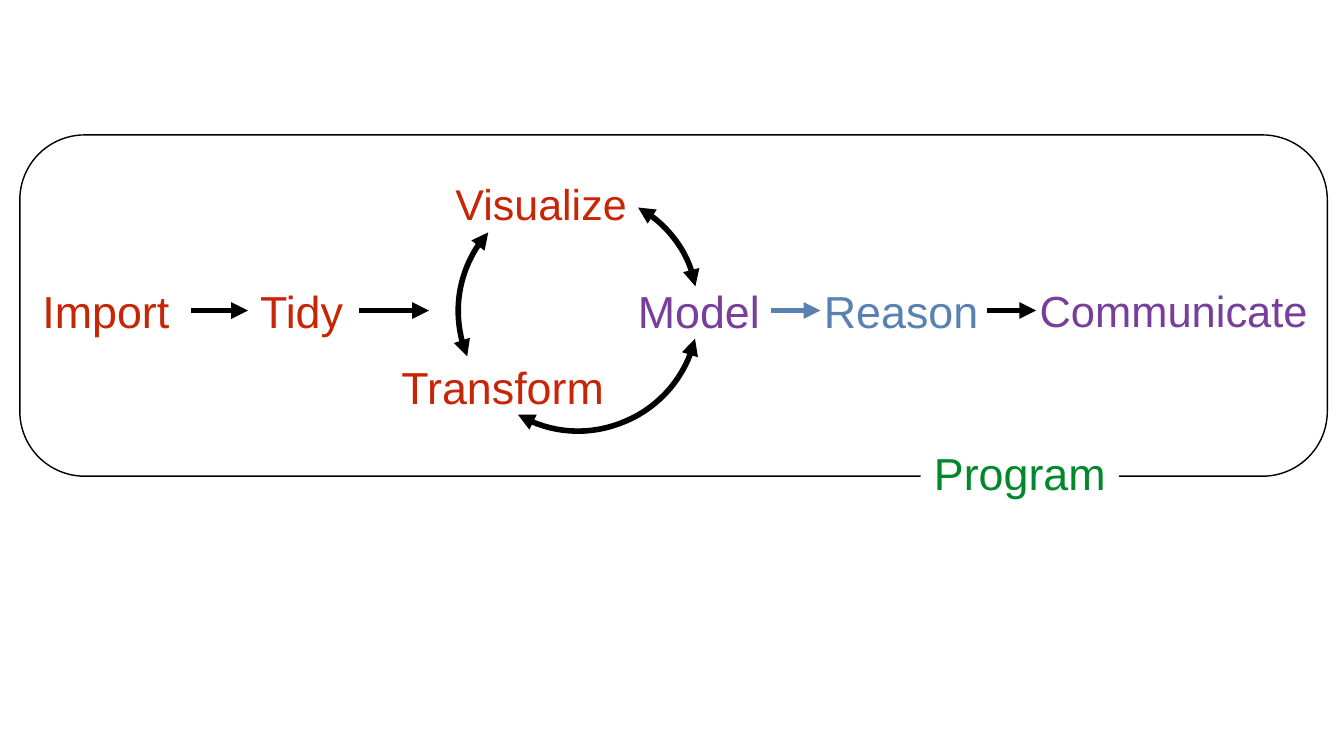
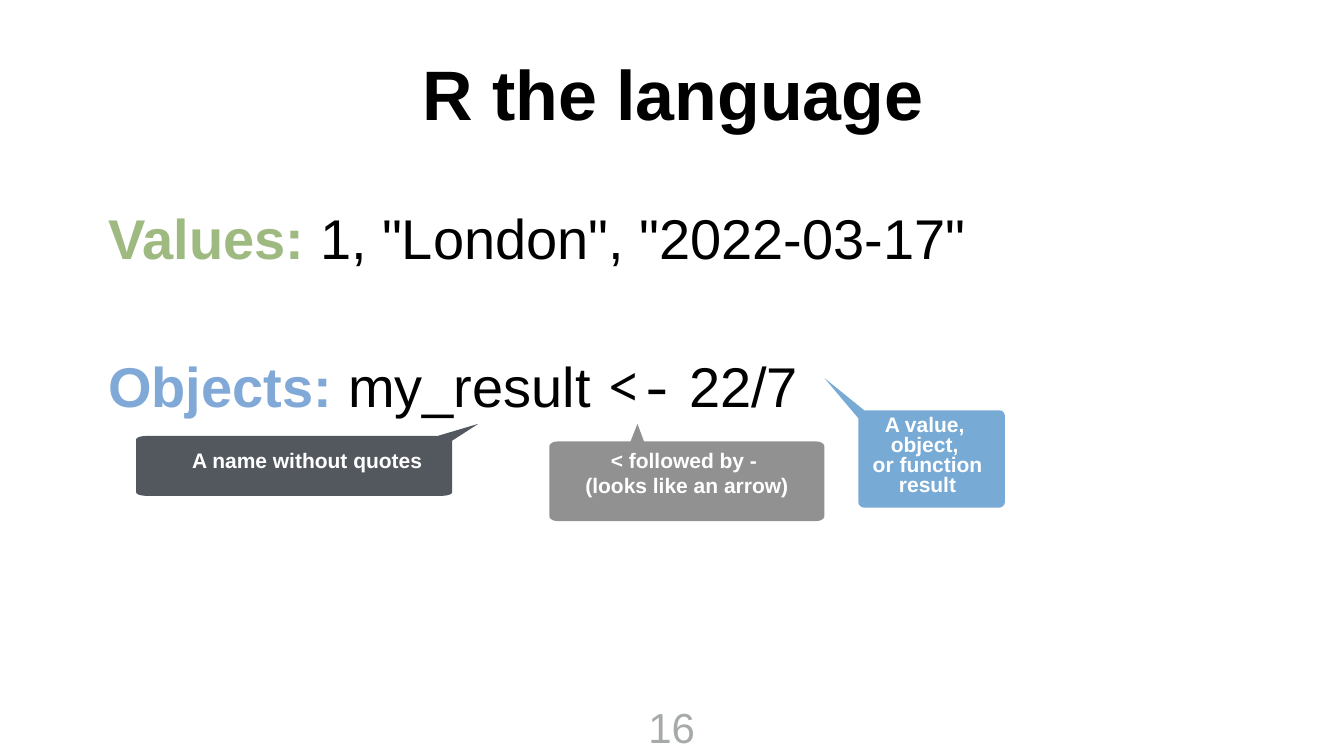
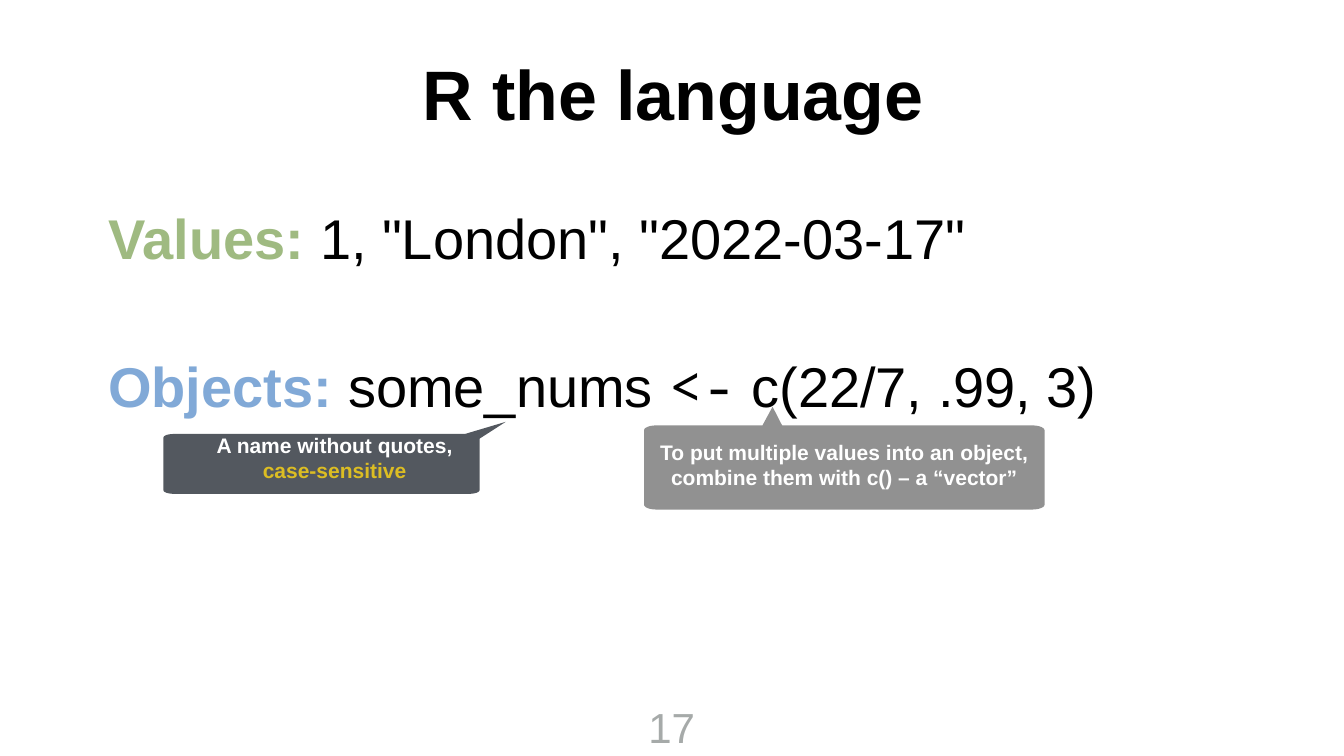
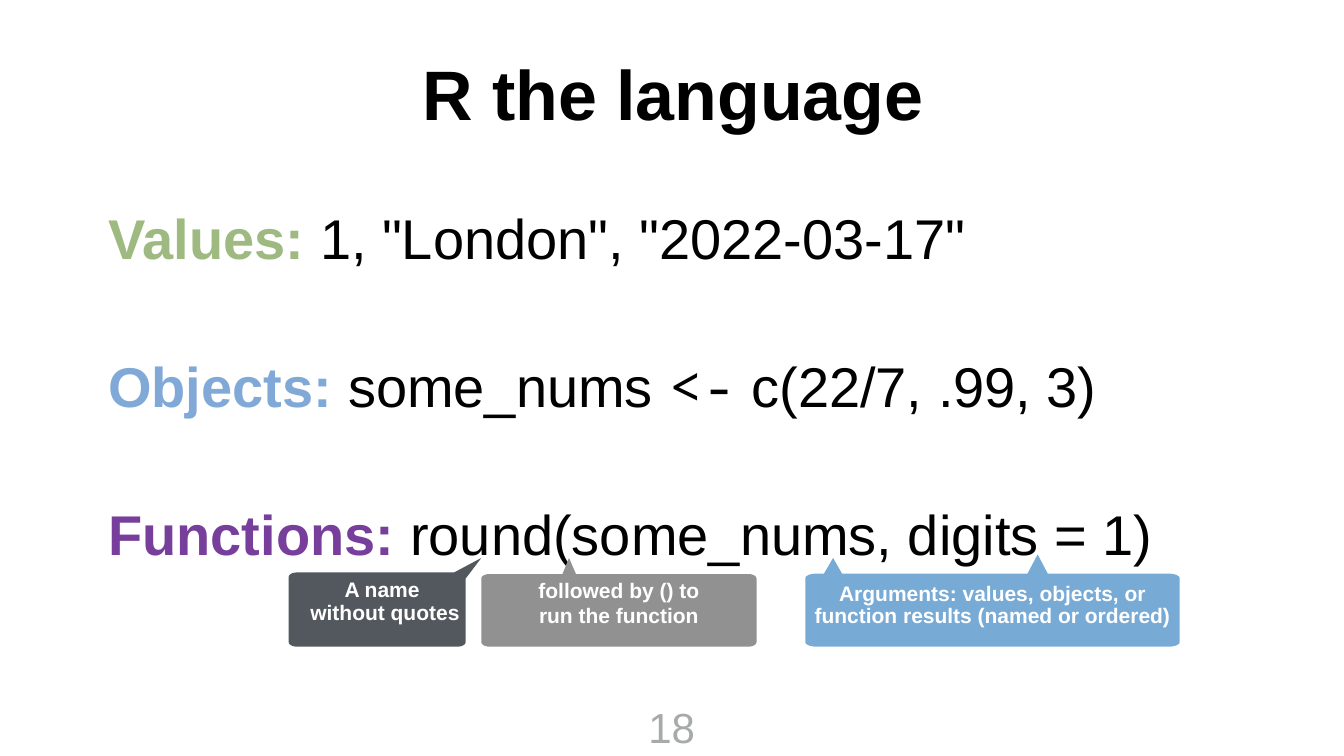
import math

import lxml.etree
import pptx
import pptx.dml.color
import pptx.enum.shapes
import pptx.enum.text
import pptx.oxml.ns
import pptx.util

Cm = pptx.util.Cm
Pt = pptx.util.Pt
RGBColor = pptx.dml.color.RGBColor
Align = pptx.enum.text.PP_ALIGN
Anchor = pptx.enum.text.MSO_ANCHOR
Shape = pptx.enum.shapes.MSO_SHAPE
qn = pptx.oxml.ns.qn

BLACK = RGBColor(0x00, 0x00, 0x00)
WHITE = RGBColor(0xFF, 0xFF, 0xFF)
RED = RGBColor(0xC8, 0x25, 0x06)
PURPLE = RGBColor(0x77, 0x3F, 0x9B)
STEEL = RGBColor(0x59, 0x82, 0xB2)
GREEN = RGBColor(0x00, 0x88, 0x2B)
SAGE = RGBColor(0x9F, 0xBA, 0x81)
BLUE = RGBColor(0x81, 0xA9, 0xD7)
SKY = RGBColor(0x78, 0xAA, 0xD6)
SLATE = RGBColor(0x53, 0x58, 0x5F)
GRAY = RGBColor(0x91, 0x91, 0x91)
PALE = RGBColor(0xA6, 0xAA, 0xA9)
GOLD = RGBColor(0xDC, 0xBD, 0x23)

FONT = "Arial"
MONO = "Noto Sans Mono"
THIN = 0.15
PAD = 0.2
ROW = 14.07
MID = 15.65


def box(*sizes):
    return [Cm(size) for size in sizes]


def setup(frame, inset, anchor=Anchor.MIDDLE):
    frame.word_wrap = True
    frame.auto_size = pptx.enum.text.MSO_AUTO_SIZE.NONE
    frame.vertical_anchor = anchor
    left, top, right, low = box(*inset)
    frame.margin_left, frame.margin_top = left, top
    frame.margin_right, frame.margin_bottom = right, low


def add_run(para, text, size, color, bold=False, font=FONT):
    for index, piece in enumerate(text.split("\n")):
        if index:
            para.add_line_break()
        if piece:
            run = para.add_run()
            run.text = piece
            run.font.size = Pt(size)
            run.font.bold = bold
            run.font.name = font
            run.font.color.rgb = color


def add_text(frame, text, size, color, bold=False):
    para = frame.paragraphs[0]
    para.alignment = Align.CENTER
    add_run(para, text, size, color, bold)


def word(page, text, color, left, top=ROW, width=8.99, size=64):
    frame = page.shapes.add_textbox(*box(left, top, width, 3.12)).text_frame
    setup(frame, [THIN] * 4)
    add_text(frame, text, size, color)


def add_heads(shape, *ends):
    line = shape.element.spPr.find(qn("a:ln"))
    for end in ends:
        lxml.etree.SubElement(line, qn("a:" + end), type="triangle")


def arrow(page, start, stop, color=BLACK):
    kind = pptx.enum.shapes.MSO_CONNECTOR.STRAIGHT
    line = page.shapes.add_connector(kind, *box(start, MID, stop, MID))
    line.line.color.rgb = color
    line.line.width = Pt(8)
    add_heads(line, "tailEnd")
    lxml.etree.SubElement(line.element.spPr, qn("a:effectLst"))


def trace(page, points, close):
    spots = [box(*point) for point in points]
    pen = page.shapes.build_freeform(*spots[0], scale=1.0)
    pen.add_line_segments(spots[1:], close=close)
    shape = pen.convert_to_shape()
    shape.shadow.inherit = False
    return shape


def bend(knots, steps=16):
    points = [knots[0]]
    for first in range(0, len(knots) - 1, 3):
        part = knots[first:first + 4]
        for step in range(1, steps + 1):
            t = step / steps
            rates = [math.comb(3, k) * t ** k * (1 - t) ** (3 - k) for k in range(4)]
            points.append([sum(r * p[axis] for r, p in zip(rates, part)) for axis in (0, 1)])
    return points


def curve(page, knots):
    shape = trace(page, bend(knots), False)
    shape.fill.background()
    shape.line.color.rgb = BLACK
    shape.line.width = Pt(8)
    add_heads(shape, "headEnd", "tailEnd")


def arc(x, y, wide, high, start):
    turns = [math.radians(start + 15 * step) for step in range(7)]
    return [(x + wide * math.cos(turn), y + high * math.sin(turn)) for turn in turns]


def bubble(page, body, round_by, fill, runs, tips=(), left=None, right=None,
           inset=(PAD, PAD), lead=None):
    x, y, far, low = body
    wide, high = round_by
    points = list(left or arc(x + wide, y + high, wide, high, 180))
    for start, peak, rise, stop in tips:
        points += [(start, y), (peak, rise), (stop, y)]
    points += right or arc(far - wide, y + high, wide, high, 270)
    points += arc(far - wide, low - high, wide, high, 0)
    points += arc(x + wide, low - high, wide, high, 90)
    shape = trace(page, points, True)
    shape.fill.solid()
    shape.fill.fore_color.rgb = fill
    shape.line.fill.background()
    setup(shape.text_frame, [*inset, PAD, PAD])
    for index, group in enumerate(runs):
        if index:
            shape.text_frame.add_paragraph()
        para = shape.text_frame.paragraphs[index]
        para.alignment = Align.CENTER
        para.line_spacing = lead
        for text, color in group:
            add_run(para, text, 30, color, True)


def name_tag(page, x, y, runs):
    spike = [(x + 15.2, y), (x + 17.25, y - 0.61), (x + 15.93, y + 0.24)]
    bubble(page, (x, y, x + 15.93, y + 3.02), (0.53, 0.18), SLATE, runs, right=spike)


def start_page(deck, number, rows):
    page = deck.slides.add_slide(deck.slide_layouts[5])
    title = page.shapes.title
    title.left, title.top, title.width, title.height = box(11.18, 1.35, 45.47, 6.65)
    setup(title.text_frame, [THIN] * 4)
    add_text(title.text_frame, "R the language", 100, BLACK, True)

    frame = page.shapes.add_textbox(*box(32.46, 35.15, 2.79, 2.95)).text_frame
    setup(frame, [PAD] * 4, Anchor.TOP)
    frame.word_wrap = False
    frame.auto_size = pptx.enum.text.MSO_AUTO_SIZE.SHAPE_TO_FIT_TEXT
    add_text(frame, str(number), 60, PALE)

    frame = page.shapes.add_textbox(*box(5.31, 9.75, 58.27, 20.27)).text_frame
    setup(frame, [THIN] * 4, Anchor.TOP)
    for index, (label, color, parts) in enumerate(rows):
        if index:
            frame.add_paragraph()
        para = frame.paragraphs[index]
        para.line_spacing = 1.1
        if index:
            para.space_before = Pt(106)
        add_run(para, label, 80, color, True)
        for text in parts:
            add_run(para, text, 80, BLACK, font=MONO if text == "<-" else FONT)
    return page


def flow_page(deck):
    page = deck.slides.add_slide(deck.slide_layouts[6])
    frame = page.shapes.add_shape(Shape.ROUNDED_RECTANGLE, *box(1, 6.8, 65.9, 17.2))
    frame.adjustments[0] = 0.19
    frame.shadow.inherit = False
    frame.fill.background()
    frame.line.color.rgb = BLACK
    frame.line.width = Pt(2)

    label = page.shapes.add_shape(Shape.RECTANGLE, *box(46.4, 22.1, 10, 3.48))
    label.shadow.inherit = False
    label.fill.solid()
    label.fill.fore_color.rgb = WHITE
    label.line.fill.background()
    setup(label.text_frame, [THIN] * 4)
    add_text(label.text_frame, "Program", 64, GREEN)

    word(page, "Import", RED, 0.84)
    word(page, "Tidy", RED, 12.62, width=5.16)
    word(page, "Visualize", RED, 22.78, top=8.71, size=61.4)
    word(page, "Transform", RED, 19.81, top=17.91, width=11.05)
    word(page, "Model", PURPLE, 30.73)
    word(page, "Communicate", PURPLE, 52.2, width=13.92, size=62.1)
    word(page, "Reason", STEEL, 40.92)

    arrow(page, 9.65, 12.5)
    arrow(page, 18.11, 21.62)
    arrow(page, 38.84, 41.35, STEEL)
    arrow(page, 49.73, 52.22)

    curve(page, [(26.11, 20.9), (27.76, 21.87), (29.74, 22), (31.52, 21.23),
                 (33.27, 20.5), (34.59, 18.95), (35.03, 17.07)])
    curve(page, [(32.16, 10.46), (32.92, 10.87), (33.55, 11.43), (34.06, 12.12),
                 (34.57, 12.8), (34.9, 13.59), (35.05, 14.43)])
    curve(page, [(23.55, 17.96), (23.11, 16.89), (22.99, 15.72), (23.19, 14.61),
                 (23.39, 13.53), (23.88, 12.52), (24.61, 11.71)])


def result_page(deck, rows):
    page = start_page(deck, 16, rows)
    name_tag(page, 6.86, 21.97, [[("A name without quotes", WHITE)]])
    bubble(page, (27.69, 22.25, 41.55, 26.26), (0.41, 0.25), GRAY,
           [[("< followed by - ", WHITE)], [("(looks like an arrow)", WHITE)]],
           tips=[(31.78, 32.13, 21.36, 32.46)])
    bubble(page, (43.26, 20.68, 50.65, 25.58), (0.28, 0.3), SKY,
           [[("A value, \nobject, \nor function result", WHITE)]],
           left=[(43.26, 21.08), (41.55, 19.05), (43.56, 20.68)],
           inset=(1.5, 1.6), lead=0.8)


def vector_page(deck, rows):
    page = start_page(deck, 17, rows)
    name_tag(page, 8.24, 21.87,
             [[("A name without quotes,\n", WHITE), ("case-sensitive", GOLD)]])
    bubble(page, (32.46, 21.44, 52.65, 25.68), (0.61, 0.25), GRAY,
           [[("To put multiple values into an object, "
              "combine them with c() – a “vector”", WHITE)]],
           tips=[(38.43, 38.94, 20.5, 39.42)], inset=(PAD, 0.89))


def function_page(deck, rows):
    page = start_page(deck, 18, rows)
    bubble(page, (14.55, 28.85, 23.47, 32.59), (0.41, 0.23), SLATE,
           [[("A name \nwithout quotes", WHITE)]],
           right=[(22.89, 28.85), (24.26, 28.12), (23.47, 29.16)], lead=0.9)
    bubble(page, (24.26, 28.93, 38.13, 32.59), (0.41, 0.23), GRAY,
           [[("followed by () to\nrun the function", WHITE)]],
           tips=[(28.35, 28.68, 28.12, 29.03)])
    bubble(page, (40.59, 28.91, 59.46, 32.59), (0.56, 0.23), SKY,
           [[("Arguments: values, objects, or "
              "function results (named or ordered)", WHITE)]],
           tips=[(41.53, 41.99, 28.12, 42.44), (51.79, 52.3, 27.94, 52.81)],
           inset=(PAD, 0.71), lead=0.9)


def main():
    deck = pptx.Presentation()
    deck.slide_width, deck.slide_height = box(67.74, 38.1)
    values = ("Values:", SAGE, [' 1, "London", "2022-03-17"'])
    result = ("Objects: ", BLUE, ["my_result ", "<-", " 22/7"])
    vector = ("Objects: ", BLUE, ["some_nums ", "<-", " c(22/7, .99, 3)"])
    rounding = ("Functions: ", PURPLE, ["round(some_nums, digits = 1)"])
    flow_page(deck)
    result_page(deck, [values, result])
    vector_page(deck, [values, vector])
    function_page(deck, [values, vector, rounding])
    deck.save("out.pptx")


if __name__ == "__main__":
    main()
